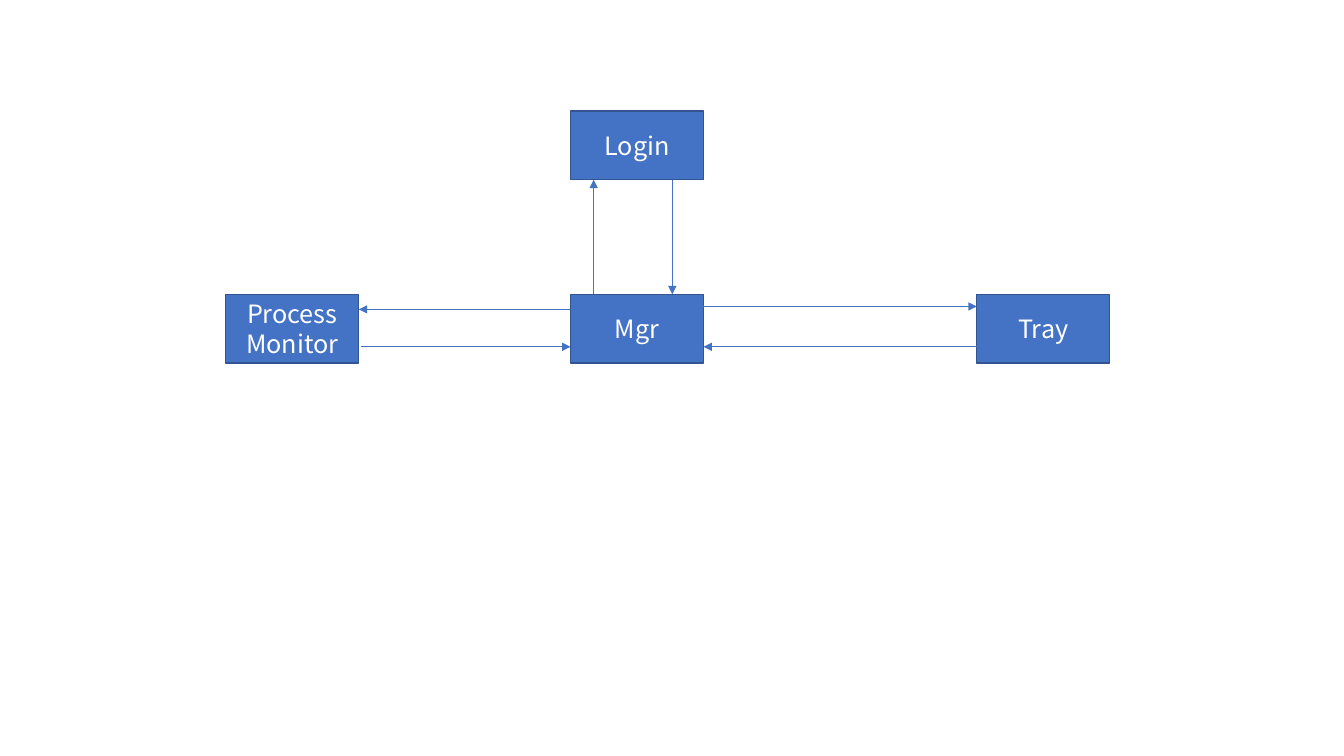
"""Draw the message flow between the manager and its three processes."""
import pptx
import pptx.util
import pptx.dml.color
import pptx.enum.shapes
import pptx.enum.text
import pptx.oxml

Pt = pptx.util.Pt
FONT = "Noto Sans CJK KR"
HEX = {"fill": "4472C4", "edge": "325491", "text": "FFFFFF"}
WIDE, HIGH = 95, 49.2
ROW, MID = 210.2, 407.5
BOXES = [
    (["Mgr"], MID, ROW),
    (["Tray"], 697.7, ROW),
    (["Login"], MID, 79.2),
    (["Process", "Monitor"], 161.3, ROW),
]
(_, mgr, _), (_, tray, _), (_, _, login), (_, proc, _) = BOXES
LOW = 247.7
ARROWS = [
    (mgr + WIDE, 218.9, tray, 218.9),
    (tray, LOW, mgr + WIDE, LOW),
    (mgr, 221, proc + WIDE, 221),
    (proc + WIDE + 1.5, LOW, mgr, LOW),
    (424.1, ROW, 424.1, login + HIGH),
    (480.2, login + HIGH, 480.2, ROW),
]


def tint(name):
    return pptx.dml.color.RGBColor.from_string(HEX[name])


def add_box(slide, lines, left, top):
    kind = pptx.enum.shapes.MSO_SHAPE.RECTANGLE
    box = slide.shapes.add_shape(kind, Pt(left), Pt(top), Pt(WIDE), Pt(HIGH))
    box.shadow.inherit = False
    box.fill.solid()
    box.fill.fore_color.rgb = tint("fill")
    box.line.color.rgb = tint("edge")
    box.line.width = Pt(1)
    frame = box.text_frame
    frame.word_wrap = True
    frame.vertical_anchor = pptx.enum.text.MSO_ANCHOR.MIDDLE
    for index, line in enumerate(lines):
        para = frame.add_paragraph() if index else frame.paragraphs[0]
        para.alignment = pptx.enum.text.PP_ALIGN.CENTER
        if len(lines) > 1:
            para.line_spacing = Pt(21.5)
        run = para.add_run()
        run.text = line
        run.font.name = FONT
        run.font.size = Pt(18)
        run.font.color.rgb = tint("text")


def add_arrow(slide, ends):
    kind = pptx.enum.shapes.MSO_CONNECTOR.STRAIGHT
    arrow = slide.shapes.add_connector(kind, *map(Pt, ends))
    arrow.line.color.rgb = tint("fill")
    arrow.line.width = Pt(0.5)
    space = pptx.oxml.ns.nsdecls("a")
    tip = pptx.oxml.parse_xml(f'<a:tailEnd {space} type="triangle"/>')
    arrow.line._get_or_add_ln().append(tip)
    plain = pptx.oxml.parse_xml(f"<a:effectLst {space}/>")
    arrow._element.spPr.append(plain)


def main():
    deck = pptx.Presentation()
    deck.slide_width, deck.slide_height = Pt(960), Pt(540)
    slide = deck.slides.add_slide(deck.slide_layouts[6])
    for lines, left, top in BOXES:
        add_box(slide, lines, left, top)
    for ends in ARROWS:
        add_arrow(slide, ends)
    deck.save("out.pptx")


if __name__ == "__main__":
    main()
